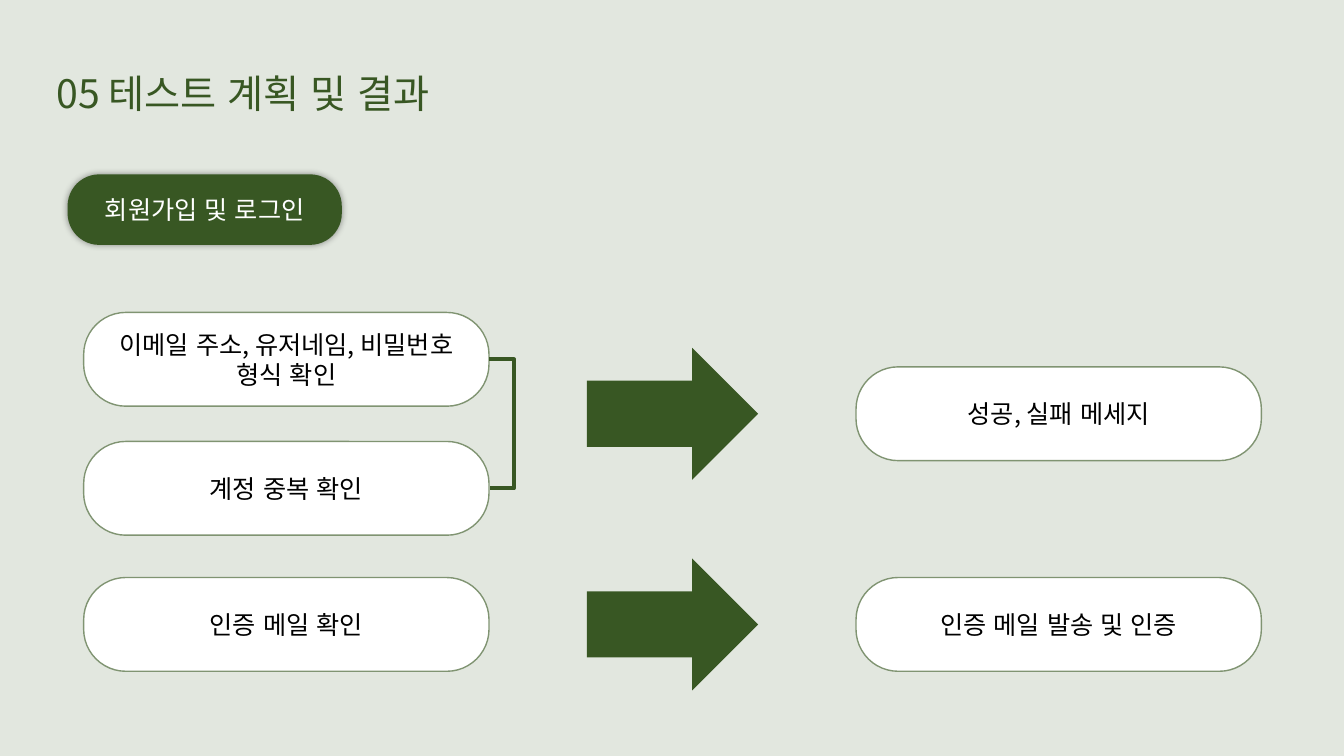
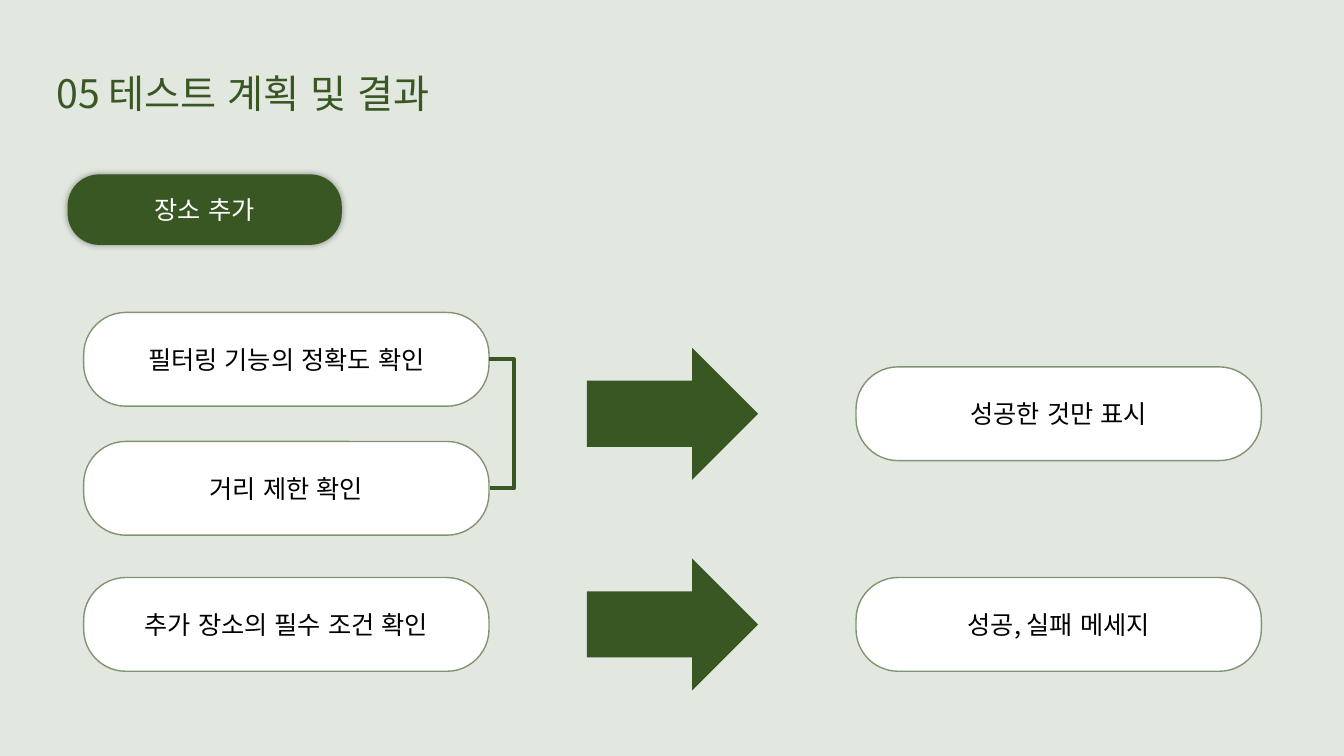
"""Build two test-plan slides that lead from checks to their expected results."""
from dataclasses import dataclass

from lxml import etree
from pptx import Presentation
from pptx.dml.color import RGBColor
from pptx.enum.lang import MSO_LANGUAGE_ID
from pptx.enum.shapes import MSO_CONNECTOR, MSO_SHAPE
from pptx.enum.text import MSO_ANCHOR, PP_ALIGN
from pptx.oxml.ns import qn
from pptx.shapes.autoshape import Shape
from pptx.slide import Slide
from pptx.util import Emu, Pt

ROUNDED = MSO_SHAPE.ROUNDED_RECTANGLE
ARROW = MSO_SHAPE.RIGHT_ARROW
ELBOW = MSO_CONNECTOR.ELBOW
MIDDLE = MSO_ANCHOR.MIDDLE
LEFT = PP_ALIGN.LEFT
CENTER = PP_ALIGN.CENTER
KOREAN = MSO_LANGUAGE_ID.KOREAN

BACKGROUND = RGBColor(0xE2, 0xE7, 0xDF)
GREEN = RGBColor(0x38, 0x57, 0x23)
OUTLINE = RGBColor(0x80, 0x94, 0x72)
WHITE = RGBColor(0xFF, 0xFF, 0xFF)
BLACK = RGBColor(0x00, 0x00, 0x00)

FONT = "Noto Sans CJK KR"
TITLE = "05 테스트 계획 및 결과"
TITLE_SIZE = 28
BODY_SIZE = 18
CORNER = 0.449

EMU_PER_PX = 9144
CARD_WIDTH, CARD_HEIGHT = 402, 93
ARROW_LEFT, ARROW_WIDTH, ARROW_HEIGHT = 582, 170, 131
CHECK_LEFT, CHECK_TOPS = 83, (310, 438, 573)
RESULT_LEFT, RESULT_TOPS = 849, (364, 573)
BRACKET_REACH = 25


@dataclass(frozen=True)
class Area:
    left: int
    top: int
    width: int
    height: int

    def emu(self) -> tuple[Emu, Emu, Emu, Emu]:
        return px(self.left), px(self.top), px(self.width), px(self.height)


@dataclass(frozen=True)
class TestPlan:
    topic: str
    checks: tuple[str, str, str]
    results: tuple[str, str]


TITLE_AREA = Area(33, 46, 780, 93)
TOPIC_AREA = Area(67, 173, 272, 70)

PLANS = (
    TestPlan(
        "회원가입 및 로그인",
        ("이메일 주소, 유저네임, 비밀번호\n형식 확인", "계정 중복 확인", "인증 메일 확인"),
        ("성공, 실패 메세지", "인증 메일 발송 및 인증"),
    ),
    TestPlan(
        "장소 추가",
        ("필터링 기능의 정확도 확인", "거리 제한 확인", "추가 장소의 필수 조건 확인"),
        ("성공한 것만 표시", "성공, 실패 메세지"),
    ),
)


def px(length: float) -> Emu:
    return Emu(round(length * EMU_PER_PX))


def write(box: Shape, text: str, size: int, color: RGBColor, align: PP_ALIGN) -> None:
    frame = box.text_frame
    frame.word_wrap = True
    frame.vertical_anchor = MIDDLE
    for index, line in enumerate(text.split("\n")):
        para = frame.add_paragraph() if index else frame.paragraphs[0]
        para.alignment = align
        span = para.add_run()
        span.text = line
        span.font.name = FONT
        span.font.size = Pt(size)
        span.font.color.rgb = color
        span.font.language_id = KOREAN
        east_asian = etree.SubElement(span.font._element, qn("a:ea"))
        east_asian.set("typeface", FONT)


def add_filled(page: Slide, kind: MSO_SHAPE, area: Area, fill: RGBColor) -> Shape:
    shape = page.shapes.add_shape(kind, *area.emu())
    shape.shadow.inherit = False
    shape.fill.solid()
    shape.fill.fore_color.rgb = fill
    shape.line.fill.background()
    return shape


def add_title(page: Slide) -> None:
    box = page.shapes.add_textbox(*TITLE_AREA.emu())
    box.text_frame.margin_left = px(23)
    write(box, TITLE, TITLE_SIZE, GREEN, LEFT)


def add_topic(page: Slide, text: str) -> None:
    badge = add_filled(page, ROUNDED, TOPIC_AREA, GREEN)
    badge.adjustments[0] = CORNER
    effects = badge._element.spPr.find(qn("a:effectLst"))
    shadow = etree.SubElement(effects, qn("a:outerShdw"), blurRad=str(Pt(5)), dist="0", dir="0")
    shade = etree.SubElement(shadow, qn("a:srgbClr"), val=str(BLACK))
    etree.SubElement(shade, qn("a:alpha"), val="40000")
    write(badge, text, BODY_SIZE, WHITE, CENTER)


def add_card(page: Slide, left: int, top: int, text: str) -> None:
    card = add_filled(page, ROUNDED, Area(left, top, CARD_WIDTH, CARD_HEIGHT), WHITE)
    card.adjustments[0] = CORNER
    card.line.color.rgb = OUTLINE
    card.line.width = Pt(1)
    write(card, text, BODY_SIZE, BLACK, CENTER)


def add_bracket(page: Slide) -> None:
    right = CHECK_LEFT + CARD_WIDTH
    first, second = (top + CARD_HEIGHT / 2 for top in CHECK_TOPS[:2])
    bracket = page.shapes.add_connector(ELBOW, px(right), px(first), px(right + 1), px(second))
    bracket.line.color.rgb = GREEN
    bracket.line.width = Pt(3)
    properties = bracket._element.spPr
    etree.SubElement(properties, qn("a:effectLst"))
    guides = properties.find(qn("a:prstGeom")).find(qn("a:avLst"))
    etree.SubElement(guides, qn("a:gd"), name="adj1", fmla=f"val {BRACKET_REACH * 100000}")


def add_plan(page: Slide, plan: TestPlan) -> None:
    add_title(page)
    add_topic(page, plan.topic)
    for top, check in zip(CHECK_TOPS, plan.checks):
        add_card(page, CHECK_LEFT, top, check)
    add_bracket(page)
    for top, result in zip(RESULT_TOPS, plan.results):
        arrow_top = top + (CARD_HEIGHT - ARROW_HEIGHT) // 2
        add_filled(page, ARROW, Area(ARROW_LEFT, arrow_top, ARROW_WIDTH, ARROW_HEIGHT), GREEN)
        add_card(page, RESULT_LEFT, top, result)


def main() -> None:
    deck = Presentation()
    deck.slide_width, deck.slide_height = px(1333), px(750)
    backdrop = deck.slide_master.background.fill
    backdrop.solid()
    backdrop.fore_color.rgb = BACKGROUND
    for plan in PLANS:
        add_plan(deck.slides.add_slide(deck.slide_layouts[6]), plan)
    deck.save("out.pptx")


if __name__ == "__main__":
    main()
